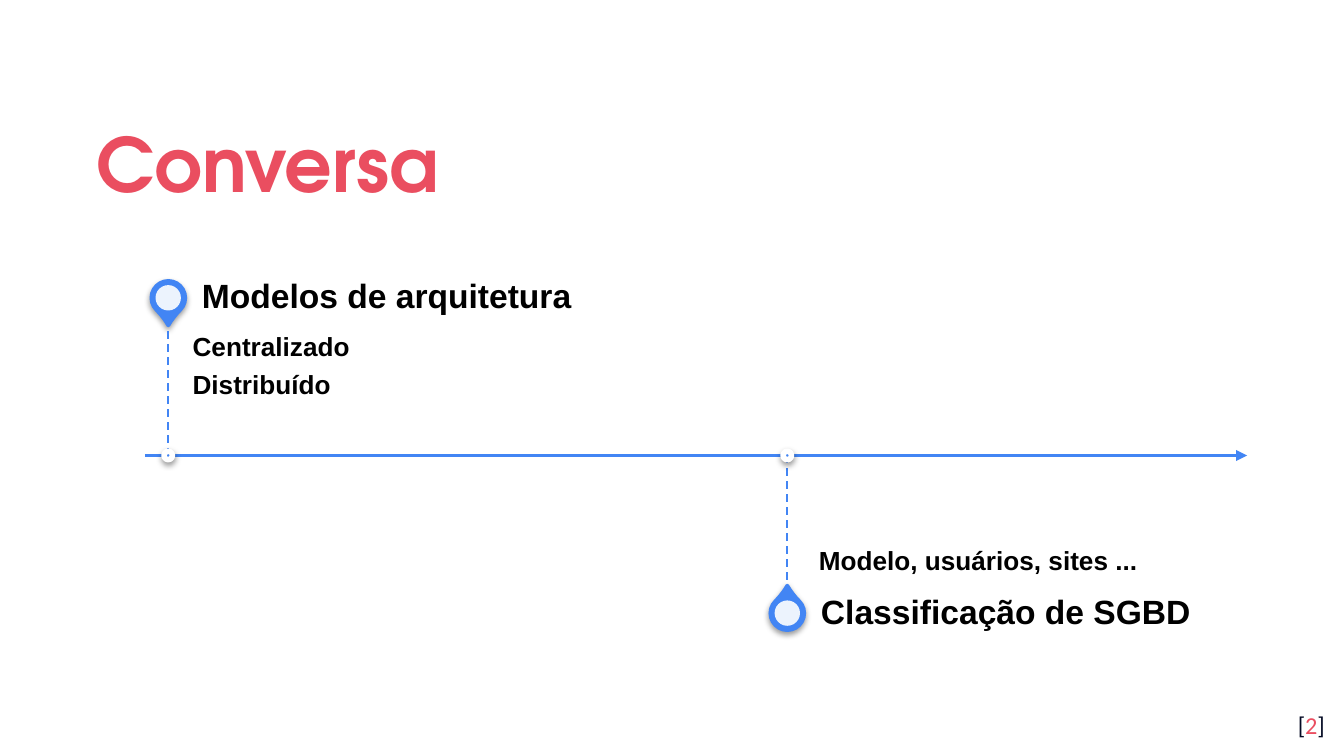
"""Build the timeline slide of the talk's two topics."""
from lxml import etree
from pptx import Presentation
from pptx.dml.color import RGBColor
from pptx.enum.dml import MSO_LINE
from pptx.enum.shapes import MSO_CONNECTOR, MSO_SHAPE
from pptx.enum.text import MSO_ANCHOR, MSO_AUTO_SIZE, PP_ALIGN
from pptx.oxml.ns import qn
from pptx.util import Cm, Pt

TOP, MID, LOW = MSO_ANCHOR.TOP, MSO_ANCHOR.MIDDLE, MSO_ANCHOR.BOTTOM
LEFT, RIGHT = PP_ALIGN.LEFT, PP_ALIGN.RIGHT
DROP, OVAL = MSO_SHAPE.TEAR, MSO_SHAPE.OVAL
STRAIGHT, DASH = MSO_CONNECTOR.STRAIGHT, MSO_LINE.DASH
FIXED = MSO_AUTO_SIZE.NONE

HUES = {"blue": "4285F4", "red": "EA4E60", "navy": "040A24",
        "black": "000000", "white": "FFFFFF"}


def tone(name):
    return RGBColor.from_string(HUES[name])


def node(root, tag, **attrs):
    return etree.SubElement(root, qn(tag), attrs)


class Deck:
    def __init__(self, slide):
        self.slide = slide
        self.font = "Arial"

    def text(self, box, rect, rows, size, hue="black", font=None, bold=True,
             anchor=TOP, pad=(0, 0, 0, 0), align=LEFT, lead=0.9, after=0):
        if box is None:
            box = self.slide.shapes.add_textbox(0, 0, 0, 0)
        box.left, box.top, box.width, box.height = map(Cm, rect)
        frame = box.text_frame
        frame.word_wrap, frame.auto_size = True, FIXED
        frame.vertical_anchor = anchor
        (frame.margin_left, frame.margin_top,
         frame.margin_right, frame.margin_bottom) = map(Cm, pad)
        frame.text = "\n".join(rows)
        for para in frame.paragraphs:
            para.alignment, para.line_spacing = align, lead
            para.space_before, para.space_after = Pt(0), Pt(after)
            for run in para.runs:
                self.style(run, size, hue, font, bold)
        return box

    def style(self, run, size, hue, font=None, bold=True):
        run.font.name, run.font.size = font or self.font, Pt(size)
        run.font.bold = bold
        run.font.color.rgb = tone(hue)

    def plain(self, box):
        for para in box.text_frame.paragraphs:
            props = para._p.get_or_add_pPr()
            props.set("marL", "0")
            props.set("indent", "0")
            node(props, "a:buNone")

    def line(self, x1, y1, x2, y2, width, dash=False, arrow=False):
        link = self.slide.shapes.add_connector(
            STRAIGHT, Cm(x1), Cm(y1), Cm(x2), Cm(y2))
        link.line.color.rgb = tone("blue")
        link.line.width = Pt(width)
        if dash:
            link.line.dash_style = DASH
        if arrow:
            node(link.line._get_or_add_ln(), "a:tailEnd", type="triangle")
        node(link._element.spPr, "a:effectLst")

    def shape(self, kind, x, y, size, fill, edge=None, width=0, turn=0,
              alpha=None, shade=False):
        item = self.slide.shapes.add_shape(
            kind, Cm(x - size / 2), Cm(y - size / 2), Cm(size), Cm(size))
        item.rotation = turn
        item.shadow.inherit = False
        item.fill.solid()
        item.fill.fore_color.rgb = tone(fill)
        if edge:
            item.line.color.rgb = tone(edge)
            item.line.width = Pt(width)
        else:
            item.line.fill.background()
        props = item._element.spPr
        if alpha:
            color = props.find(qn("a:solidFill"))[0]
            node(color, "a:alpha", val=str(alpha * 1000))
        if shade:
            glow = node(props.find(qn("a:effectLst")), "a:outerShdw",
                        blurRad=str(Pt(3.1)), dist=str(Pt(1.6)),
                        dir="5400000", algn="t", rotWithShape="0")
            color = node(glow, "a:srgbClr", val=HUES["black"])
            node(color, "a:alpha", val="38000")
        return item

    def stop(self, x, axis, side, head, rows, pad, anchor, body=None):
        pin = axis + side * 2.98
        drop = self.shape(DROP, x, pin, 0.64, "blue", "blue", 2,
                          225 - side * -90 if side < 0 else 315, shade=True)
        drop.adjustments[0] = 1.15
        self.shape(OVAL, x, pin, 0.48, "white", alpha=90)
        near = x + 0.46
        top = min(axis, axis + side * 2.54)
        box = self.text(body, (near, top, 7.57, 2.54), rows, 14,
                        anchor=anchor, pad=pad, after=5)
        self.plain(box)
        self.text(None, (near, pin - 0.45, 7.57, 0.9), [head], 18,
                  anchor=MID, pad=(0, 0, 0.3, 0))
        self.line(x, axis, x, axis + side * 2.54, 1, dash=True)
        self.shape(OVAL, x, axis, 0.16, "blue", "white", 3, shade=True)


show = Presentation()
show.slide_width, show.slide_height = Cm(25.4), Cm(14.29)
slide = show.slides.add_slide(show.slide_layouts[1])
deck = Deck(slide)
even = (0.25,) * 4

deck.text(slide.shapes.title, (1.57, 1.78, 22.28, 2.34), ["Conversa"], 40,
          "red", "TeX Gyre Adventor", anchor=MID, pad=even, lead=1.15)

page = deck.text(None, (23.77, 13.18, 1.52, 1.09), ["["], 13, "navy",
                 "Calibri", False, pad=even, align=RIGHT, lead=1)
for mark, hue in (("2", "red"), ("]", "navy")):
    run = page.text_frame.paragraphs[0].add_run()
    run.text = mark
    deck.style(run, 13, hue, "Calibri", False)

axis = 8.61
deck.line(2.74, axis, 23.57, axis, 1.5, arrow=True)
deck.stop(3.18, axis, -1, "\u00a0Modelos de arquitetura",
          ["Centralizado", "Distribuído"], (0, 0.25, 0, 0.38), TOP,
          slide.placeholders[1])
deck.stop(14.88, axis, 1, "\u00a0Classificação de SGBD",
          ["\u00a0Modelo, usuários, sites ..."], (0, 0.38, 0.25, 0.25), LOW)

show.save("out.pptx")
